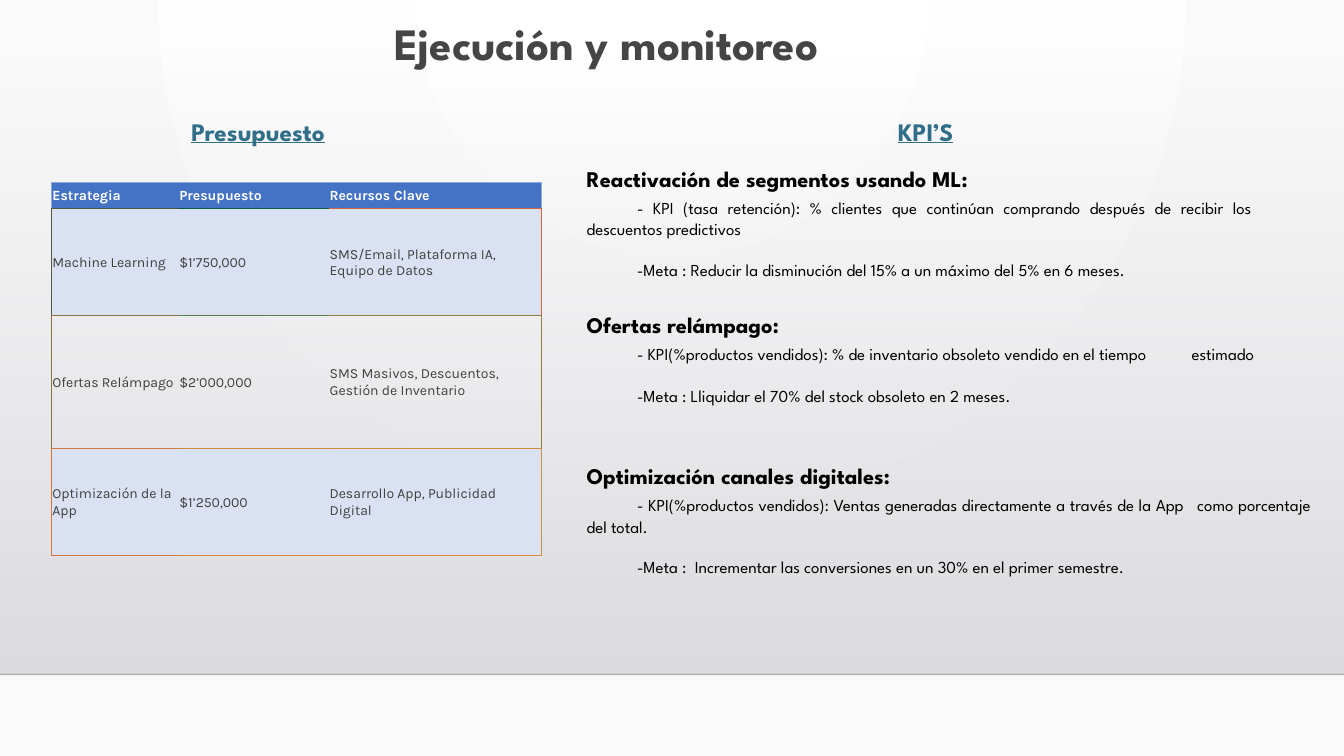
from lxml import etree
from pptx import Presentation
from pptx.dml.color import RGBColor
from pptx.enum.shapes import MSO_CONNECTOR, MSO_SHAPE
from pptx.enum.text import MSO_ANCHOR, MSO_AUTO_SIZE, PP_ALIGN
from pptx.oxml.ns import qn
from pptx.util import Inches, Pt

RECT, LINE = MSO_SHAPE.RECTANGLE, MSO_CONNECTOR.STRAIGHT
MIDDLE, JUSTIFY = MSO_ANCHOR.MIDDLE, PP_ALIGN.JUSTIFY
GROW = MSO_AUTO_SIZE.SHAPE_TO_FIT_TEXT
NO_STYLE = "{2D5ABB26-0587-4C30-8999-92F81FD0307C}"
SPARTAN, KARLA = "League Spartan", "Karla"

BUDGET = [
    ("Estrategia", "Presupuesto", "Recursos Clave"),
    ("Machine Learning", "$1’750,000", "SMS/Email, Plataforma IA, Equipo de Datos"),
    ("Ofertas Relámpago", "$2’000,000", "SMS Masivos, Descuentos, Gestión de Inventario"),
    ("Optimización de la App", "$1’250,000", "Desarrollo App, Publicidad Digital"),
]
COL_WIDTHS = [1.26, 1.49, 2.11]
ROW_HEIGHTS = [0.26, 1.06, 1.32, 1.06]
ROW_FILLS = ["4472C4", "D9E1F2", None, "D9E1F2"]
EDGES = [
    ("8EA9DB", "8EA9DB", "8EA9DB"),
    ("505942", "105A42", "D06542"),
    ("907142", "508542", "907E42"),
    ("D07A42", "D08C42", "D08E42"),
    ("D07A42", "D08C42", "D08E42"),
]
KPIS = [
    (1.59, "Reactivación de segmentos usando ML:",
     "- KPI (tasa retención): % clientes que continúan comprando después de recibir los \tdescuentos predictivos",
     "\t-Meta : Reducir la disminución del 15% a un máximo del 5% en 6 meses."),
    (3.04, "Ofertas relámpago:",
     "- KPI(%productos vendidos): % de inventario obsoleto vendido en el tiempo \testimado",
     "\t-Meta : Lliquidar el 70% del stock obsoleto en 2 meses."),
    (4.54, "Optimización canales digitales:",
     "- KPI(%productos vendidos): Ventas generadas directamente a través de la App \tcomo porcentaje del total.",
     "\t-Meta :  Incrementar las conversiones en un 30% en el primer semestre."),
]


def rgb(value):
    return RGBColor.from_string(value)


def sub(parent, tag, **attrs):
    return etree.SubElement(parent, qn(tag), attrs)


def set_gradient(fill, element, stops):
    fill.gradient()
    grad = next(element.iter(qn("a:gradFill")))
    for child in list(grad):
        grad.remove(child)
    stop_list = sub(grad, "a:gsLst")
    for pos, color, alpha in stops:
        stop = sub(stop_list, "a:gs", pos=str(pos * 1000))
        clr = sub(stop, "a:srgbClr", val=color)
        sub(clr, "a:alpha", val=str(alpha * 1000))
    return grad


def add_run(p, text, color, **fmt):
    r = p.add_run()
    r.text = text
    r.font.color.rgb = rgb(color)
    for name, value in fmt.items():
        setattr(r.font, name, value)


def add_textbox(s, x, y, w, h):
    tf = s.shapes.add_textbox(Inches(x), Inches(y), Inches(w), Inches(h)).text_frame
    tf.word_wrap = True
    return tf


def add_backdrop(s, w, y, h):
    grad = set_gradient(s.background.fill, s.element, [(0, "FFFFFF", 100), (100, "FAFAFA", 100)])
    circle = sub(grad, "a:path", path="circle")
    sub(circle, "a:fillToRect", l="43000", t="0", r="43000", b="100000")

    wall = s.shapes.add_shape(RECT, 0, Inches(y), Inches(w), Inches(h))
    wall.shadow.inherit = False
    wall.line.fill.background()
    grad = set_gradient(wall.fill, wall.element, [(0, "DCDCE0", 0), (100, "DADADE", 100)])
    sub(grad, "a:lin", ang="5400000", scaled="0")

    floor = s.shapes.add_connector(LINE, 0, Inches(y + h), Inches(w), Inches(y + h))
    floor.line.width = Pt(1)
    floor.line.color.rgb = rgb("000001")
    sub(next(floor.element.iter(qn("a:srgbClr"))), "a:alpha", val="20000")
    sub(floor.element.spPr, "a:effectLst")


def add_title(s, x, y, w, h):
    p = add_textbox(s, x, y, w, h).paragraphs[0]
    p.line_spacing = 1.2
    p.space_before = Pt(10)
    add_run(p, "Ejecución y monitoreo", "454545", size=Pt(32), name=SPARTAN, bold=True)


def add_heading(s, x, y, text):
    tf = add_textbox(s, x, y, 1.74, 0.4)
    tf.auto_size = GROW
    add_run(tf.paragraphs[0], text, "316F89", size=Pt(18), name=SPARTAN, bold=True, underline=True)


def set_borders(cell, sides):
    tcPr = cell._tc.get_or_add_tcPr()
    for i, (side, color) in enumerate(sides.items()):
        ln = etree.Element(qn("a:ln" + side), w=str(Pt(0.5)))
        if color:
            sub(sub(ln, "a:solidFill"), "a:srgbClr", val=color)
        else:
            sub(ln, "a:noFill")
        tcPr.insert(i, ln)


def add_budget_table(s, x, y):
    frame = s.shapes.add_table(len(ROW_HEIGHTS), len(COL_WIDTHS), Inches(x), Inches(y),
                               Inches(sum(COL_WIDTHS)), Inches(sum(ROW_HEIGHTS)))
    table = frame.table
    table.first_row = table.horz_banding = False
    next(table._tbl.iter(qn("a:tableStyleId"))).text = NO_STYLE
    for col, width in zip(table.columns, COL_WIDTHS):
        col.width = Inches(width)
    last = len(COL_WIDTHS) - 1
    for r, (row, height) in enumerate(zip(table.rows, ROW_HEIGHTS)):
        row.height = Inches(height)
        for c, cell in enumerate(row.cells):
            cell.vertical_anchor = MIDDLE
            cell.margin_left = cell.margin_right = cell.margin_top = Inches(0.01)
            cell.margin_bottom = 0
            if ROW_FILLS[r]:
                cell.fill.solid()
                cell.fill.fore_color.rgb = rgb(ROW_FILLS[r])
            else:
                cell.fill.background()
            add_run(cell.text_frame.paragraphs[0], BUDGET[r][c], "404040" if r else "FFFFFF",
                    size=Pt(10), name=KARLA, bold=r == 0)
            edge = EDGES[r][c]
            set_borders(cell, {"L": edge if c == 0 else None, "R": edge if c == last else None,
                               "T": edge, "B": EDGES[r + 1][c]})


def add_kpi(s, x, y, title, kpi, goal):
    tf = add_textbox(s, x, y, 7.38, 1.25)
    tf.auto_size = GROW
    strong = {"size": Pt(16), "name": SPARTAN, "bold": True}
    plain = {"size": Pt(12), "name": SPARTAN, "bold": False}
    lines = [[(title, strong)], [("\t", strong), (kpi, plain)], [(goal, plain)]]
    for i, runs in enumerate(lines):
        p = tf.add_paragraph() if i else tf.paragraphs[0]
        p._p.get_or_add_pPr().set("defTabSz", str(Inches(0.5)))
        if i:
            p.alignment = JUSTIFY
        for text, fmt in runs:
            add_run(p, text, "000000", **fmt)
    p.space_before = Pt(14.5)


def main():
    prs = Presentation()
    prs.slide_width, prs.slide_height = Inches(13.33), Inches(7.5)
    s = prs.slides.add_slide(prs.slide_layouts[6])
    add_backdrop(s, 13.33, 0.51, 6.18)
    add_title(s, 3.81, 0, 5.95, 0.76)
    add_heading(s, 1.8, 1.1, "Presupuesto")
    add_heading(s, 8.81, 1.1, "KPI’S")
    for y, title, kpi, goal in KPIS:
        add_kpi(s, 5.72, y, title, kpi, goal)
    add_budget_table(s, 0.51, 1.81)
    prs.save("out.pptx")


if __name__ == "__main__":
    main()
